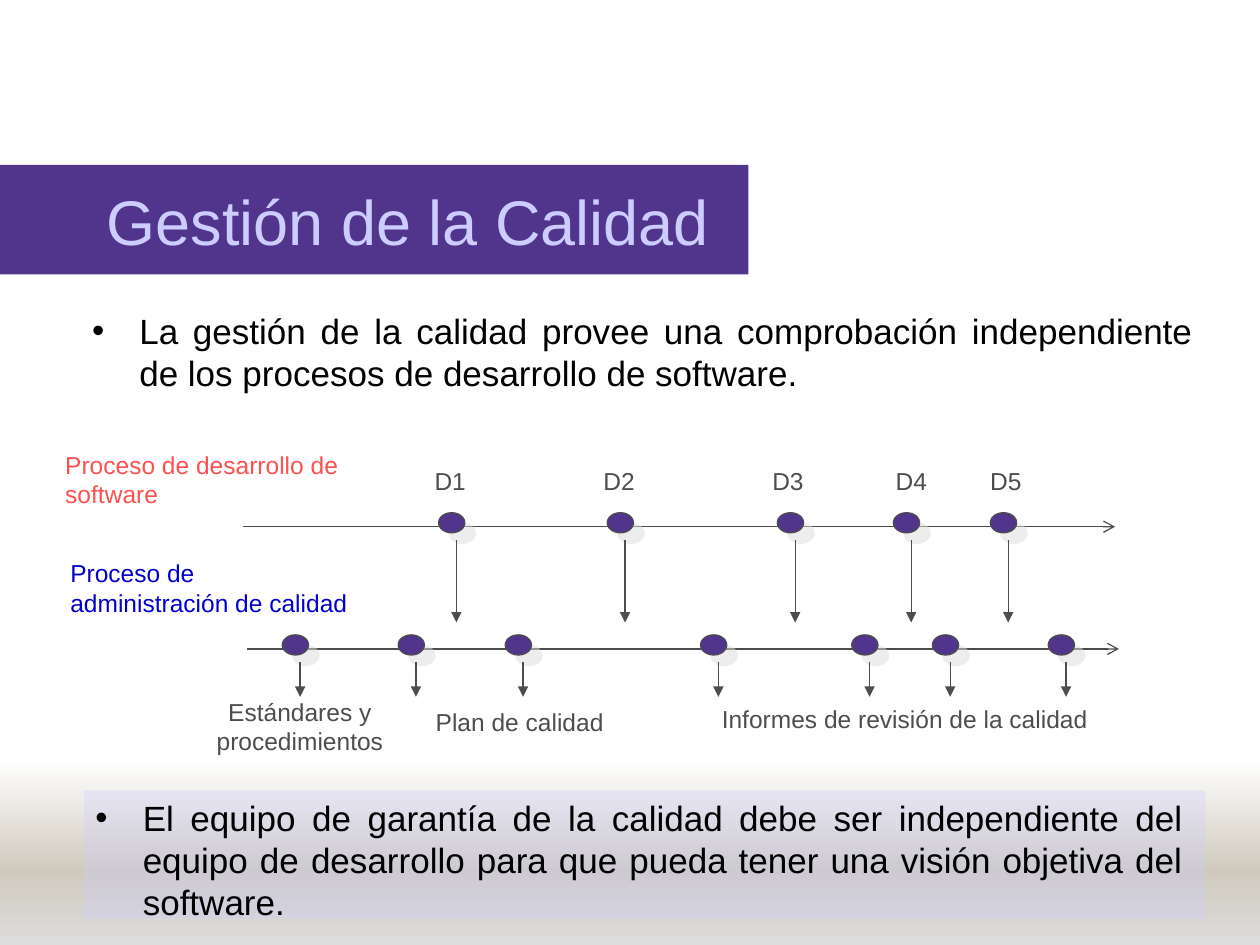
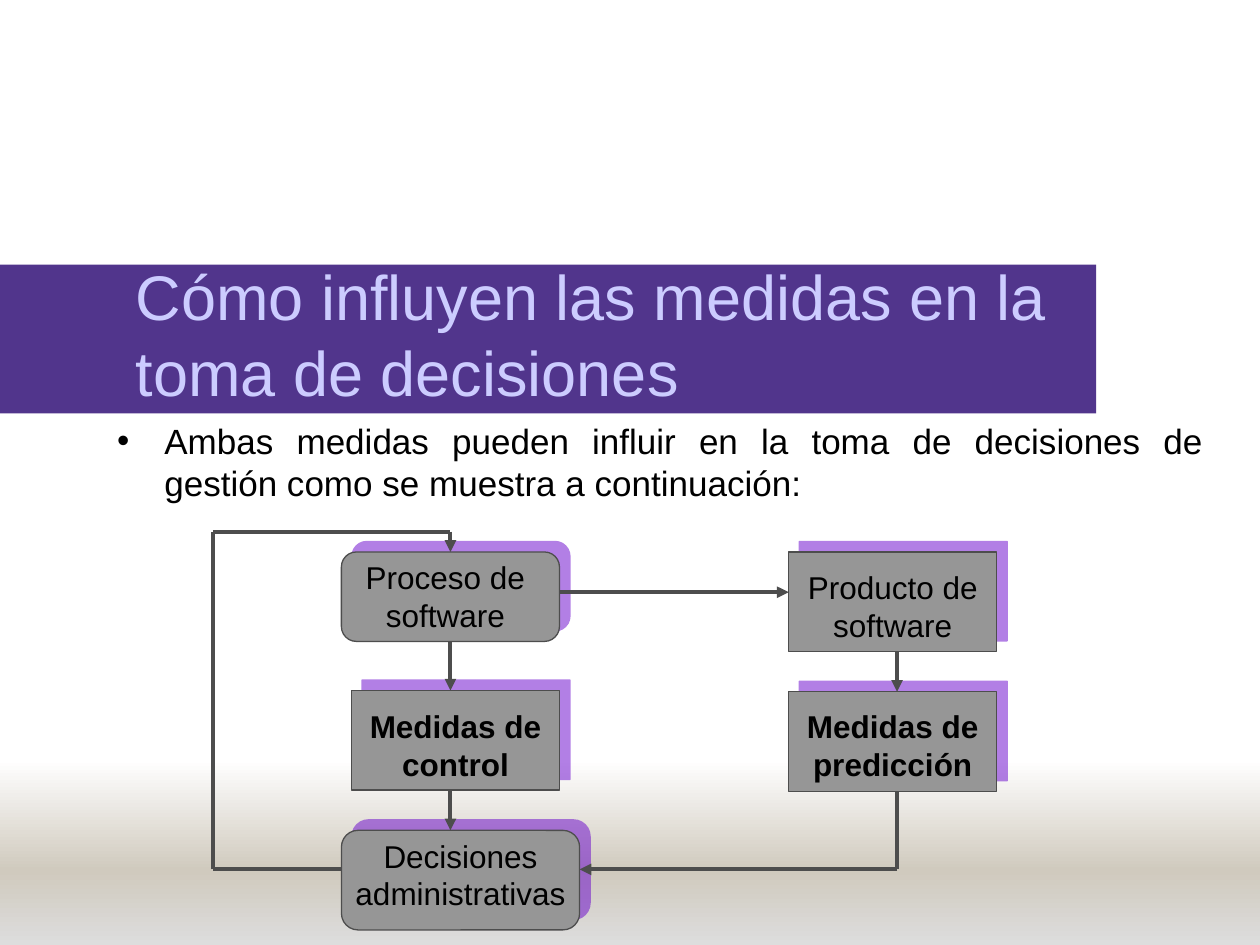
from dataclasses import dataclass
from itertools import pairwise

from lxml import etree
from pptx import Presentation
from pptx.dml.color import RGBColor
from pptx.enum import shapes, text
from pptx.oxml.ns import qn
from pptx.util import Pt


@dataclass(frozen=True)
class Theme:
    font: str = "Arial"
    violet: str = "51358C"
    lavender: str = "CCCCFF"
    black: str = "000000"
    gray: str = "4D4D4D"
    node: str = "969696"
    node_shadow: str = "6600CC"
    dot_shadow: str = "DDDDDD"
    development: str = "FF5050"
    quality: str = "0000CC"
    floor: tuple = ((0, "FFFFFF"), (60, "D0CABE"), (100, "DDDDDD"))
    title_size: float = 36
    body_size: float = 20
    node_size: float = 18
    label_size: float = 14
    thin: float = 0.75
    thick: float = 2.25


@dataclass(frozen=True)
class Box:
    left: float
    top: float
    width: float
    height: float

    def points(self) -> tuple:
        return Pt(self.left), Pt(self.top), Pt(self.width), Pt(self.height)


@dataclass(frozen=True)
class Label:
    words: str
    box: Box
    color: str
    align: text.PP_ALIGN = text.PP_ALIGN.LEFT


@dataclass(frozen=True)
class Timeline:
    start: float
    end: float
    axis: float
    dots: tuple
    arrow_end: float


@dataclass(frozen=True)
class Node:
    words: str
    box: Box
    text_width: float
    text_drop: float = 0
    rounded: bool = False
    bold: bool = False


THEME = Theme()
SHAPE = shapes.MSO_SHAPE
CENTER = text.PP_ALIGN.CENTER
JUSTIFY = text.PP_ALIGN.JUSTIFY

MILESTONES = {"D1": (250.6, 241.2), "D2": (347, 337.7), "D3": (444.2, 434.2),
              "D4": (510.5, 504.7), "D5": (565.9, 558.7)}
DEVELOPMENT = Timeline(139, 637.2, 301, tuple(dot for dot, _ in MILESTONES.values()), 355.7)
QUALITY = Timeline(141.1, 639.4, 370.8, (161.3, 227.5, 288.7, 400.3, 486.7, 532.8, 599), 398.2)

TIMELINE_LABELS = [
    *(Label(name, Box(left, 262.8, 48, 24), THEME.gray) for name, (_, left) in MILESTONES.items()),
    Label("Proceso de desarrollo de software", Box(30.2, 253.4, 221.8, 41), THEME.development),
    Label("Proceso de administración de calidad", Box(33.1, 315.4, 175.7, 41), THEME.quality),
    Label("Estándares y procedimientos", Box(99.4, 394.6, 144, 41), THEME.gray, CENTER),
    Label("Plan de calidad", Box(226.1, 400.3, 141.8, 24), THEME.gray, CENTER),
    Label("Informes de revisión de la calidad", Box(334.1, 398.9, 365.8, 24), THEME.gray, CENTER),
]

PROCESS = Node("Proceso de software", Box(195.1, 315.4, 124.6, 51.1), 118.8, rounded=True)
CONTROL = Node("Medidas de control", Box(200.9, 394.6, 118.8, 56.9), 118.8, 5.8, bold=True)
DECISIONS = Node("Decisiones administrativas", Box(195.1, 474.5, 136.1, 56.9), 136.1, rounded=True)
PRODUCT = Node("Producto de software", Box(450.7, 315.4, 118.8, 56.9), 118.8, 5.8)
PREDICTION = Node("Medidas de predicción", Box(450.7, 395.3, 118.8, 56.9), 118.8, 5.2, bold=True)


def add_shape(slide, kind, box: Box, fill: str, outlined: bool = False):
    shape = slide.shapes.add_shape(kind, *box.points())
    shape.shadow.inherit = False
    shape.fill.solid()
    shape.fill.fore_color.rgb = RGBColor.from_string(fill)
    if outlined:
        shape.line.color.rgb = RGBColor.from_string(THEME.gray)
        shape.line.width = Pt(THEME.thin)
    else:
        shape.line.fill.background()
    return shape


def add_shadow(shape, color: str, degrees: int) -> None:
    effects = shape._element.spPr.find(qn("a:effectLst"))
    shadow = etree.SubElement(effects, qn("a:outerShdw"), dist=str(Pt(8.5)),
                              dir=str(degrees * 60000), algn="ctr", rotWithShape="0")
    tint = etree.SubElement(shadow, qn("a:srgbClr"), val=color)
    etree.SubElement(tint, qn("a:alpha"), val="50000")


def add_text(slide, words: str, box: Box, size: float, color: str,
             align=text.PP_ALIGN.LEFT, bold: bool = False, bullet: bool = False,
             anchor=text.MSO_ANCHOR.TOP) -> None:
    frame = slide.shapes.add_textbox(*box.points()).text_frame
    frame.word_wrap = True
    frame.vertical_anchor = anchor
    paragraph = frame.paragraphs[0]
    paragraph.alignment = align
    if bullet:
        properties = paragraph._p.get_or_add_pPr()
        properties.set("marL", str(Pt(27)))
        properties.set("indent", str(-Pt(27)))
        etree.SubElement(properties, qn("a:buFont"), typeface=THEME.font)
        etree.SubElement(properties, qn("a:buChar"), char="•")
    run = paragraph.add_run()
    run.text = words
    run.font.name = THEME.font
    run.font.size = Pt(size)
    run.font.bold = bold
    run.font.color.rgb = RGBColor.from_string(color)


def add_line(slide, start: tuple, end: tuple, width: float, arrow: str = ""):
    line = slide.shapes.add_connector(shapes.MSO_CONNECTOR.STRAIGHT,
                                      *(Pt(value) for value in (*start, *end)))
    line.line.color.rgb = RGBColor.from_string(THEME.gray)
    line.line.width = Pt(width)
    if arrow:
        etree.SubElement(line.line._get_or_add_ln(), qn("a:tailEnd"), type=arrow)
    etree.SubElement(line._element.spPr, qn("a:effectLst"))
    return line


def add_floor(slide) -> None:
    floor = add_shape(slide, SHAPE.RECTANGLE, Box(0, 434, 720, 106), THEME.dot_shadow)
    floor.fill.gradient()
    floor.fill.gradient_angle = 270
    stops = floor._element.spPr.find(qn("a:gradFill")).find(qn("a:gsLst"))
    for stop in list(stops):
        stops.remove(stop)
    for percent, color in THEME.floor:
        stop = etree.SubElement(stops, qn("a:gs"), pos=str(percent * 1000))
        etree.SubElement(stop, qn("a:srgbClr"), val=color)


def add_title(slide, words: str, band: Box, box: Box) -> None:
    add_shape(slide, SHAPE.RECTANGLE, band, THEME.violet)
    add_text(slide, words, box, THEME.title_size, THEME.lavender, anchor=text.MSO_ANCHOR.MIDDLE)


def add_bullet(slide, words: str, box: Box) -> None:
    add_text(slide, words, box, THEME.body_size, THEME.black, JUSTIFY, bullet=True)


def add_timeline(slide, timeline: Timeline) -> None:
    axis = timeline.axis
    add_line(slide, (timeline.start, axis), (timeline.end, axis), THEME.thin, "arrow")
    for left in timeline.dots:
        dot = add_shape(slide, SHAPE.OVAL, Box(left, axis - 8, 15, 11.5), THEME.violet, True)
        add_shadow(dot, THEME.dot_shadow, 45)
        add_line(slide, (left + 10.2, axis + 7.5), (left + 10.2, timeline.arrow_end),
                 THEME.thin, "triangle")


def add_node(slide, node: Node):
    kind = SHAPE.FLOWCHART_ALTERNATE_PROCESS if node.rounded else SHAPE.RECTANGLE
    shape = add_shape(slide, kind, node.box, THEME.node, True)
    add_shadow(shape, THEME.node_shadow, 315)
    words_box = Box(node.box.left, node.box.top + node.text_drop, node.text_width, 50.4)
    add_text(slide, node.words, words_box, THEME.node_size, THEME.black, CENTER, node.bold)
    return shape


def add_route(slide, *corners: tuple) -> list:
    legs = list(pairwise(corners))
    return [add_line(slide, start, end, THEME.thick, "triangle" if leg == len(legs) else "")
            for leg, (start, end) in enumerate(legs, 1)]


def build_quality_management(slide) -> None:
    add_floor(slide)
    emphasis = add_shape(slide, SHAPE.RECTANGLE, Box(48, 451.5, 641, 73.5), THEME.lavender)
    tint = emphasis._element.spPr.find(qn("a:solidFill")).find(qn("a:srgbClr"))
    etree.SubElement(tint, qn("a:alpha"), val="30000")
    add_bullet(slide, "La gestión de la calidad provee una comprobación independiente "
               "de los procesos de desarrollo de software.", Box(45.5, 173.5, 643.5, 63.5))
    for timeline in (DEVELOPMENT, QUALITY):
        add_timeline(slide, timeline)
    for label in TIMELINE_LABELS:
        add_text(slide, label.words, label.box, THEME.label_size, label.color, label.align)
    add_bullet(slide, "El equipo de garantía de la calidad debe ser independiente del equipo "
               "de desarrollo para que pueda tener una visión objetiva del software.",
               Box(47.5, 451.4, 635.8, 79.2))
    add_title(slide, "Gestión de la Calidad", Box(0, 94.3, 427.7, 62.6),
              Box(54, 105.8, 362.9, 40.3))


def build_measures(slide) -> None:
    add_floor(slide)
    add_bullet(slide, "Ambas medidas pueden influir en la toma de decisiones de gestión "
               "como se muestra a continuación:", Box(59.8, 236.2, 635, 272))
    add_title(slide, "Cómo influyen las medidas en la toma de decisiones",
              Box(0, 151.2, 626.4, 85), Box(70.6, 145.4, 567.4, 90))
    process = add_node(slide, PROCESS)
    for node in (CONTROL, DECISIONS, PRODUCT, PREDICTION):
        add_node(slide, node)

    spine, product_spine, loop = 257.4, 512.6, 121.7
    loop_top, decision_level, product_level = 303.8, 496.8, 338.4
    decisions_right = DECISIONS.box.left + DECISIONS.box.width
    process_right = PROCESS.box.left + PROCESS.box.width
    process_bottom = PROCESS.box.top + PROCESS.box.height
    control_bottom = CONTROL.box.top + CONTROL.box.height
    product_bottom = PRODUCT.box.top + PRODUCT.box.height
    prediction_bottom = PREDICTION.box.top + PREDICTION.box.height

    feedback = add_route(slide, (DECISIONS.box.left, decision_level), (loop, decision_level),
                         (loop, loop_top), (spine, loop_top), (spine, PROCESS.box.top))
    feedback[-1].end_connect(process, 0)
    measured = add_route(slide, (spine, process_bottom), (spine, CONTROL.box.top))
    measured[0].begin_connect(process, 2)
    add_route(slide, (spine, control_bottom), (spine, DECISIONS.box.top))
    add_route(slide, (process_right, product_level), (PRODUCT.box.left, product_level))
    add_route(slide, (product_spine, product_bottom), (product_spine, PREDICTION.box.top))
    add_route(slide, (product_spine, prediction_bottom), (product_spine, decision_level),
              (decisions_right, decision_level))


def main() -> None:
    deck = Presentation()
    deck.slide_width, deck.slide_height = Pt(720), Pt(540)
    for build in (build_quality_management, build_measures):
        build(deck.slides.add_slide(deck.slide_layouts[6]))
    deck.save("out.pptx")


if __name__ == "__main__":
    main()
